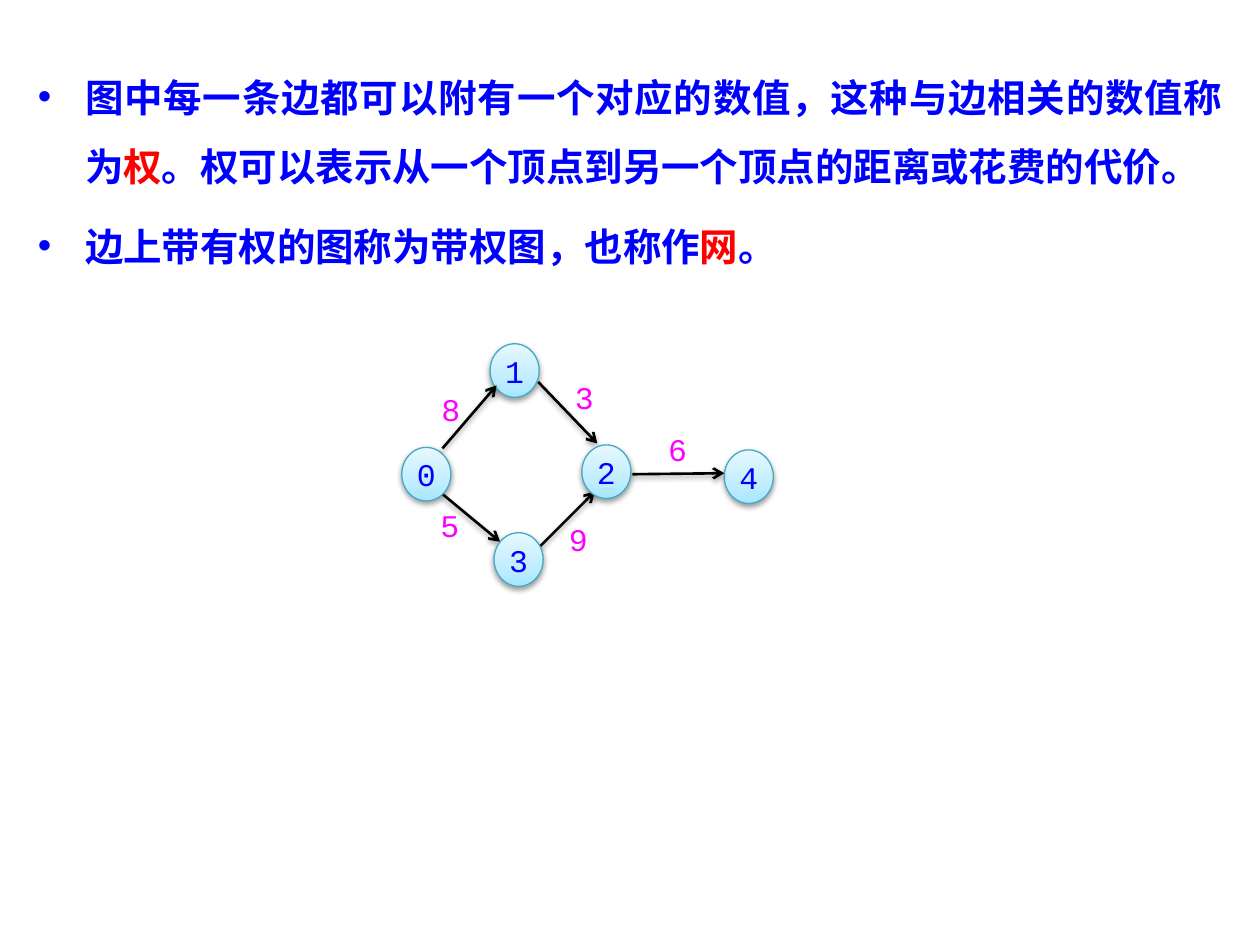
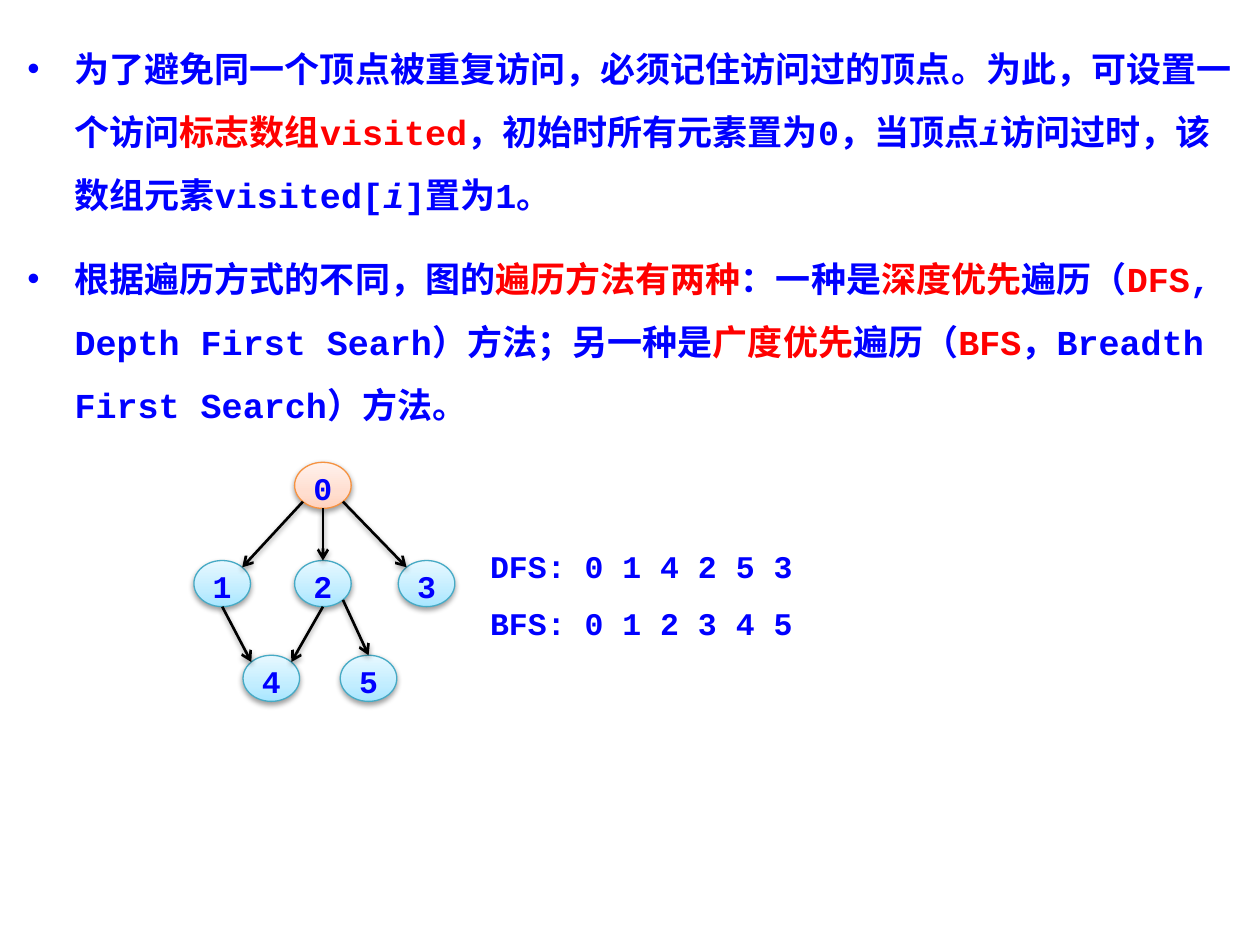
from math import cos, radians, sin

from pptx import Presentation
from pptx.dml.color import RGBColor
from pptx.enum.lang import MSO_LANGUAGE_ID as LANG
from pptx.enum.shapes import MSO_CONNECTOR as CXN, MSO_SHAPE as SHAPE
from pptx.enum.text import MSO_ANCHOR as ANCHOR, MSO_AUTO_SIZE as FIT, PP_ALIGN as ALIGN
from pptx.oxml import parse_xml
from pptx.oxml.ns import nsdecls
from pptx.util import Cm, Pt

COLORS = {
    "text": "0000FF",
    "key": "FF0000",
    "weight": "FF00FF",
    "edge": "000000",
    "node": "46AAC5",
    "start": "F69240",
}
GRADIENTS = {
    "node": {0: "A7E6FF", 35: "C1EDFF", 100: "E7F8FF"},
    "start": {0: "FFD2BD", 35: "FFDED0", 100: "FFF2ED"},
}
TOP, TOP_LEFT, BOTTOM_LEFT, BOTTOM, BOTTOM_RIGHT, TOP_RIGHT = 270, 225, 135, 90, 45, 315


def rgb(name):
    return RGBColor.from_string(COLORS[name])


def site(corner, size, angle):
    (x, y), (w, h) = corner, size
    a = radians(angle)
    return x + w / 2 * (1 + cos(a)), y + h / 2 * (1 + sin(a))


class Deck:
    font = "Courier New"

    def __init__(self):
        self.prs = Presentation()
        self.prs.slide_width, self.prs.slide_height = Cm(25.4), Cm(19.05)
        self.slide = None

    def new_slide(self):
        self.slide = self.prs.slides.add_slide(self.prs.slide_layouts[1])
        title = self.slide.shapes.title.element
        title.getparent().remove(title)

    def style(self, r, size, color="text", bold=False, italic=False):
        f = r.font
        f.name, f.size, f.bold, f.italic = self.font, Pt(size), bold, italic
        f.color.rgb = rgb(color)

    def shadow(self, sp):
        sp.element.spPr.append(parse_xml(
            f'<a:effectLst {nsdecls("a")}><a:outerShdw blurRad="40000" dist="20000" '
            'dir="5400000" rotWithShape="0"><a:srgbClr val="000000">'
            '<a:alpha val="38000"/></a:srgbClr></a:outerShdw></a:effectLst>'))

    def bullets(self, box, items, size, before, align):
        sp = self.slide.placeholders[1]
        sp.left, sp.top, sp.width, sp.height = map(Cm, box)
        tf = sp.text_frame
        tf.auto_size = FIT.NONE
        for i, parts in enumerate(items):
            p = tf.add_paragraph() if i else tf.paragraphs[0]
            p.alignment, p.line_spacing, p.space_before = align, 1.5, Pt(before)
            pPr = p._p.get_or_add_pPr()
            pPr.set("marL", str(Cm(0.95)))
            pPr.set("indent", str(-Cm(0.95)))
            for text, kind in parts:
                r = p.add_run()
                r.text = text
                self.style(r, size, "key" if kind == "key" else "text", True, kind == "var")
                r.font.language_id = LANG.SIMPLIFIED_CHINESE

    def caption(self, sp, text, color="text", bold=False):
        tf = sp.text_frame
        tf.margin_left = tf.margin_right = tf.margin_top = tf.margin_bottom = 0
        tf.word_wrap, tf.vertical_anchor = True, ANCHOR.TOP
        tf.text = text
        p = tf.paragraphs[0]
        p.alignment = ALIGN.CENTER
        self.style(p.runs[0], 18, color, bold)

    def node(self, text, corner, size, kind="node", bold=False):
        sp = self.slide.shapes.add_shape(SHAPE.OVAL, *map(Cm, (*corner, *size)))
        stops = "".join(f'<a:gs pos="{pos * 1000}"><a:srgbClr val="{c}"/></a:gs>'
                        for pos, c in GRADIENTS[kind].items())
        sp.element.spPr.append(parse_xml(
            f'<a:gradFill {nsdecls("a")} rotWithShape="1"><a:gsLst>{stops}</a:gsLst>'
            '<a:lin ang="16200000" scaled="0"/></a:gradFill>'))
        sp.line.color.rgb, sp.line.width = rgb(kind), Pt(0.75)
        self.shadow(sp)
        self.caption(sp, text, bold=bold)

    def arrow(self, start, end):
        sp = self.slide.shapes.add_connector(CXN.STRAIGHT, *map(Cm, (*start, *end)))
        sp.line.color.rgb, sp.line.width = rgb("edge"), Pt(1.5)
        sp.line._get_or_add_ln().append(parse_xml(f'<a:tailEnd {nsdecls("a")} type="arrow"/>'))
        self.shadow(sp)

    def weight(self, text, corner):
        sp = self.slide.shapes.add_textbox(*map(Cm, (*corner, 0.76, 0.66)))
        self.caption(sp, text, "weight")

    def lines(self, box, texts):
        tf = self.slide.shapes.add_textbox(*map(Cm, box)).text_frame
        tf.word_wrap = True
        tf.text = "\n".join(texts)
        for p in tf.paragraphs:
            p.line_spacing = 1.5
            self.style(p.runs[0], 18, bold=True)


def weighted_graph(deck):
    deck.new_slide()
    deck.bullets((0.51, 0.89, 24.41, 4.55), [
        [("图中每一条边都可以附有一个对应的数值，这种与边相关的数值称为", ""), ("权", "key"),
         ("。权可以表示从一个顶点到另一个顶点的距离或花费的代价。", "")],
        [("边上带有权的图称为带权图，也称作", ""), ("网", "key"), ("。", "")],
    ], 22, 6, ALIGN.JUSTIFY)
    nodes = {"1": (9.88, 6.93), "0": (8.1, 9.02), "3": (9.96, 10.74),
             "2": (11.73, 8.97), "4": (14.6, 9.07)}
    edges_behind = [((10.85, 11.05), (11.99, 9.91)), ((8.92, 9.96), (10.08, 10.92)),
                    ((10.85, 7.7), (12.04, 8.94))]
    edges_front = [((8.92, 9.04), (10.01, 7.77)), ((12.75, 9.56), (14.6, 9.54))]
    weights = {"9": (11.28, 10.49), "5": (8.69, 10.21), "8": (8.71, 7.87),
               "3": (11.4, 7.62), "6": (13.28, 8.66)}
    for edge in edges_behind:
        deck.arrow(*edge)
    for name, corner in nodes.items():
        deck.node(name, corner, (0.99, 1.08))
    for edge in edges_front:
        deck.arrow(*edge)
    for value, corner in weights.items():
        deck.weight(value, corner)


def traversal(deck):
    deck.new_slide()
    deck.bullets((0.3, 0.41, 24.99, 8.23), [
        [("为了避免同一个顶点被重复访问，必须记住访问过的顶点。为此，可设置一个访问", ""),
         ("标志数组visited", "key"), ("，初始时所有元素置为0，当顶点", ""), ("i", "var"),
         ("访问过时，该数组元素visited[", ""), ("i", "var"), ("]置为1。", "")],
        [("根据遍历方式的不同，图的", ""), ("遍历方法有两种", "key"), ("：一种是", ""),
         ("深度优先", "key"), ("遍历（", ""), ("DFS", "key"),
         (", Depth First Searh）方法；另一种是", ""), ("广度优先", "key"), ("遍历（", ""),
         ("BFS", "key"), ("，Breadth First Search）方法。", "")],
    ], 20, 12, ALIGN.LEFT)
    size = (1.14, 0.93)
    nodes = {"0": (5.94, 9.32), "1": (3.91, 11.3), "2": (5.94, 11.3),
             "3": (8.03, 11.3), "4": (4.9, 13.21), "5": (6.86, 13.21)}
    edges = [("0", BOTTOM_LEFT, "1", TOP_RIGHT), ("0", BOTTOM, "2", TOP),
             ("0", BOTTOM_RIGHT, "3", TOP_LEFT), ("1", BOTTOM, "4", TOP_LEFT),
             ("2", BOTTOM, "4", TOP_RIGHT), ("2", BOTTOM_RIGHT, "5", TOP)]
    for name, corner in nodes.items():
        deck.node(name, corner, size, "start" if name == "0" else "node", True)
    for a, leave, b, enter in edges:
        deck.arrow(site(nodes[a], size, leave), site(nodes[b], size, enter))
    deck.lines((9.63, 10.52, 8.64, 2.44), ["DFS: 0 1 4 2 5 3", "BFS: 0 1 2 3 4 5"])


def main():
    deck = Deck()
    weighted_graph(deck)
    traversal(deck)
    deck.prs.save("out.pptx")


if __name__ == "__main__":
    main()
